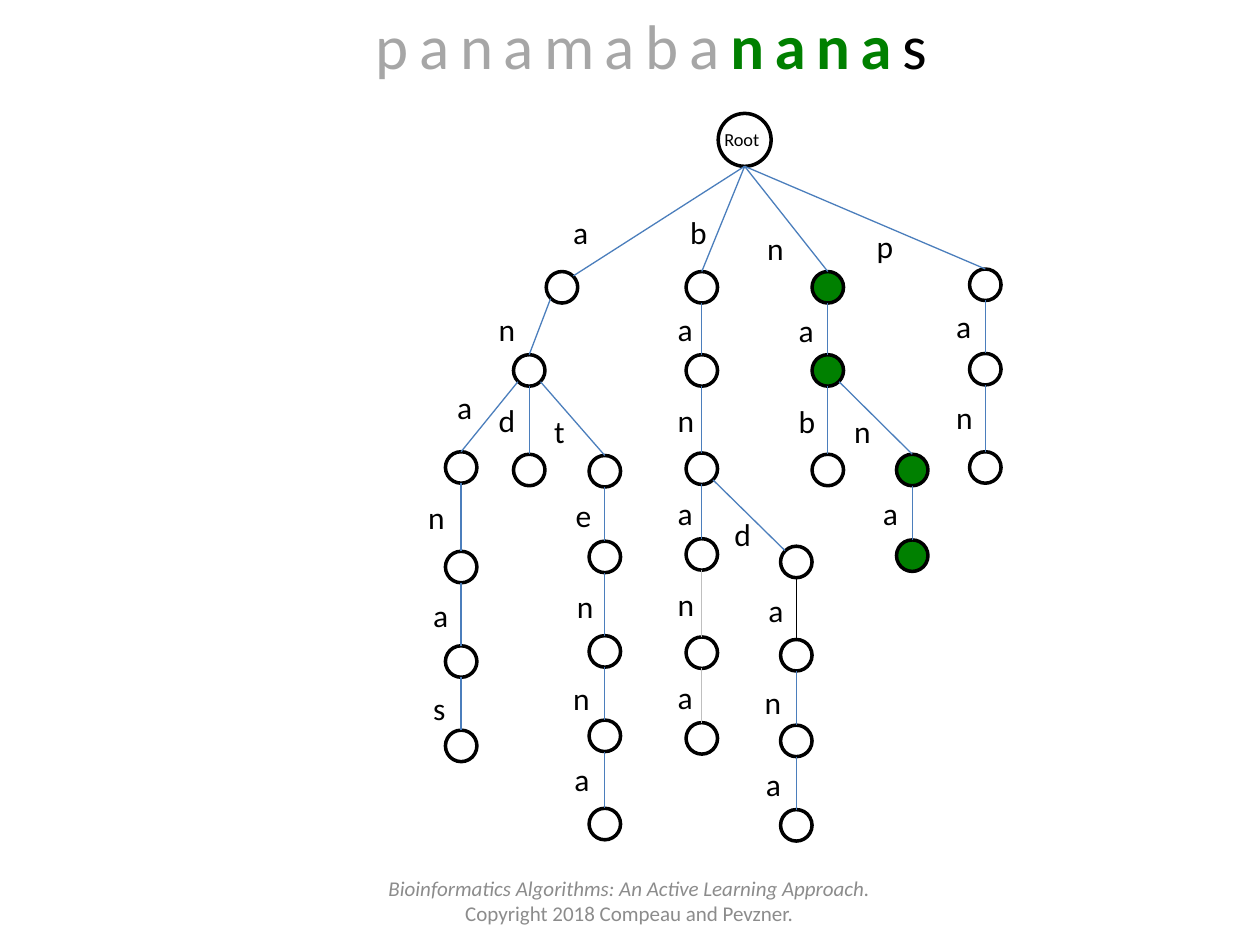
from pptx import Presentation
from pptx.dml.color import RGBColor
from pptx.enum import shapes, text
from pptx.oxml.ns import qn
from pptx.util import Inches, Pt
from lxml import etree

COLORS = {"black": "000000", "white": "FFFFFF", "green": "008000", "blue": "4B7EBC",
          "pale": "BFBFBF", "silver": "A6A6A6", "gray": "8C8C8C"}
MATCH = "nana"
RADIUS = 0.125
DIAGONAL = 0.09  # offset of a point at 45 degrees on a node's rim

# Trie nodes by prefix: centre x, centre y, left and top of the edge label
NODES = {
    "a": (4.46, 2.28, 4.45, 1.64),
    "an": (4.20, 2.94, 3.86, 2.41),
    "ana": (3.66, 3.71, 3.53, 3.03),
    "anan": (3.66, 4.50, 3.30, 3.90),
    "anana": (3.66, 5.25, 3.34, 4.68),
    "ananas": (3.66, 5.92, 3.34, 5.42),
    "and": (4.20, 3.73, 3.86, 3.13),
    "ant": (4.80, 3.74, 4.30, 3.22),
    "ante": (4.80, 4.42, 4.47, 3.89),
    "anten": (4.80, 5.17, 4.48, 4.61),
    "antenn": (4.80, 5.84, 4.45, 5.34),
    "antenna": (4.80, 6.54, 4.46, 5.98),
    "b": (5.57, 2.28, 5.38, 1.64),
    "ba": (5.57, 2.94, 5.28, 2.41),
    "ban": (5.57, 3.72, 5.28, 3.13),
    "bana": (5.57, 4.40, 5.28, 3.87),
    "banan": (5.57, 5.18, 5.28, 4.59),
    "banana": (5.57, 5.86, 5.28, 5.33),
    "band": (6.32, 4.46, 5.73, 4.04),
    "banda": (6.32, 5.20, 6.00, 4.64),
    "bandan": (6.32, 5.88, 5.97, 5.37),
    "bandana": (6.32, 6.55, 5.98, 6.02),
    "n": (6.57, 2.28, 5.99, 1.77),
    "na": (6.57, 2.94, 6.24, 2.42),
    "nab": (6.57, 3.73, 6.24, 3.14),
    "nan": (7.24, 3.73, 6.68, 3.22),
    "nana": (7.24, 4.41, 6.91, 3.87),
    "p": (7.82, 2.26, 6.86, 1.75),
    "pa": (7.82, 2.93, 7.49, 2.39),
    "pan": (7.82, 3.71, 7.49, 3.11),
}
EDGE_COLORS = {"banan": "pale", "banana": "pale", "banda": "black"}
SIDE_ENDS = {"a": DIAGONAL, "band": -DIAGONAL}  # edges that meet the rim at 45 degrees
ROOT_X, ROOT_Y, ROOT_RADIUS = 5.91, 1.11, 0.21

deck = Presentation()
deck.slide_width, deck.slide_height = Inches(10), Inches(7.5)
page = deck.slides.add_slide(deck.slide_layouts[5])


def add_span(para, words, size, color, bold=False, italic=False):
    span = para.add_run()
    span.text = words
    span.font.name = "Calibri"
    span.font.size = Pt(size)
    span.font.bold = bold
    span.font.italic = italic
    span.font.color.rgb = RGBColor.from_string(COLORS[color])
    return span


def add_node(x, y, radius, fill):
    node = page.shapes.add_shape(shapes.MSO_SHAPE.OVAL, Inches(x - radius), Inches(y - radius),
                                 Inches(2 * radius), Inches(2 * radius))
    node.shadow.inherit = False
    node.fill.solid()
    node.fill.fore_color.rgb = RGBColor.from_string(COLORS[fill])
    node.line.color.rgb = RGBColor.from_string(COLORS["black"])
    node.line.width = Pt(2)


# Title: the text with the matched pattern highlighted
title = page.shapes.title
title.left, title.top, title.width, title.height = Inches(2.67), Inches(0), Inches(5), Inches(0.71)
title.text_frame.vertical_anchor = text.MSO_ANCHOR.TOP
title.text_frame.auto_size = text.MSO_AUTO_SIZE.NONE
para = title.text_frame.paragraphs[0]
para.alignment = text.PP_ALIGN.CENTER
for words, color, bold in [("panamaba", "silver", False), (MATCH, "green", True), ("s", "black", False)]:
    span = add_span(para, words, 36, color, bold)
    span.font._element.set("spc", "600")

# Root
add_node(ROOT_X, ROOT_Y, ROOT_RADIUS, "white")
box = page.shapes.add_textbox(Inches(5.65), Inches(0.97), Inches(0.55), Inches(0.28))
box.text_frame.word_wrap = True
add_span(box.text_frame.paragraphs[0], "Root", 10.5, "black")

# Nodes, each with the edge from its parent and the edge's letter
for prefix, (x, y, label_left, label_top) in NODES.items():
    add_node(x, y, RADIUS, "green" if MATCH.startswith(prefix) else "white")

    parent = prefix[:-1]
    if not parent:
        start = (ROOT_X, ROOT_Y + ROOT_RADIUS)
    else:
        parent_x, parent_y = NODES[parent][:2]
        if parent_x == x:
            start = (x, parent_y + RADIUS)
        else:
            side = DIAGONAL if x > parent_x else -DIAGONAL
            start = (parent_x + side, parent_y + DIAGONAL)
    if prefix in SIDE_ENDS:
        end = (x + SIDE_ENDS[prefix], y - DIAGONAL)
    else:
        end = (x, y - RADIUS)
    edge = page.shapes.add_connector(shapes.MSO_CONNECTOR.STRAIGHT,
                                     *[Inches(value) for value in start + end])
    edge.line.color.rgb = RGBColor.from_string(COLORS[EDGE_COLORS.get(prefix, "blue")])
    edge.line.width = Pt(0.75)
    etree.SubElement(edge._element.spPr, qn("a:effectLst"))

    box = page.shapes.add_textbox(Inches(label_left), Inches(label_top), Inches(0.33), Inches(0.4))
    box.text_frame.word_wrap = False
    add_span(box.text_frame.paragraphs[0], prefix[-1], 18, "black")

# Credit
box = page.shapes.add_textbox(Inches(2.83), Inches(6.95), Inches(4.33), Inches(0.4))
box.text_frame.word_wrap = True
box.text_frame.vertical_anchor = text.MSO_ANCHOR.MIDDLE
credit = [("Bioinformatics Algorithms: An Active Learning Approach.", True),
          ("Copyright 2018 Compeau and Pevzner.", False)]
for index, (words, italic) in enumerate(credit):
    para = box.text_frame.add_paragraph() if index else box.text_frame.paragraphs[0]
    para.alignment = text.PP_ALIGN.CENTER
    add_span(para, words, 12, "gray", italic=italic)

deck.save("out.pptx")
